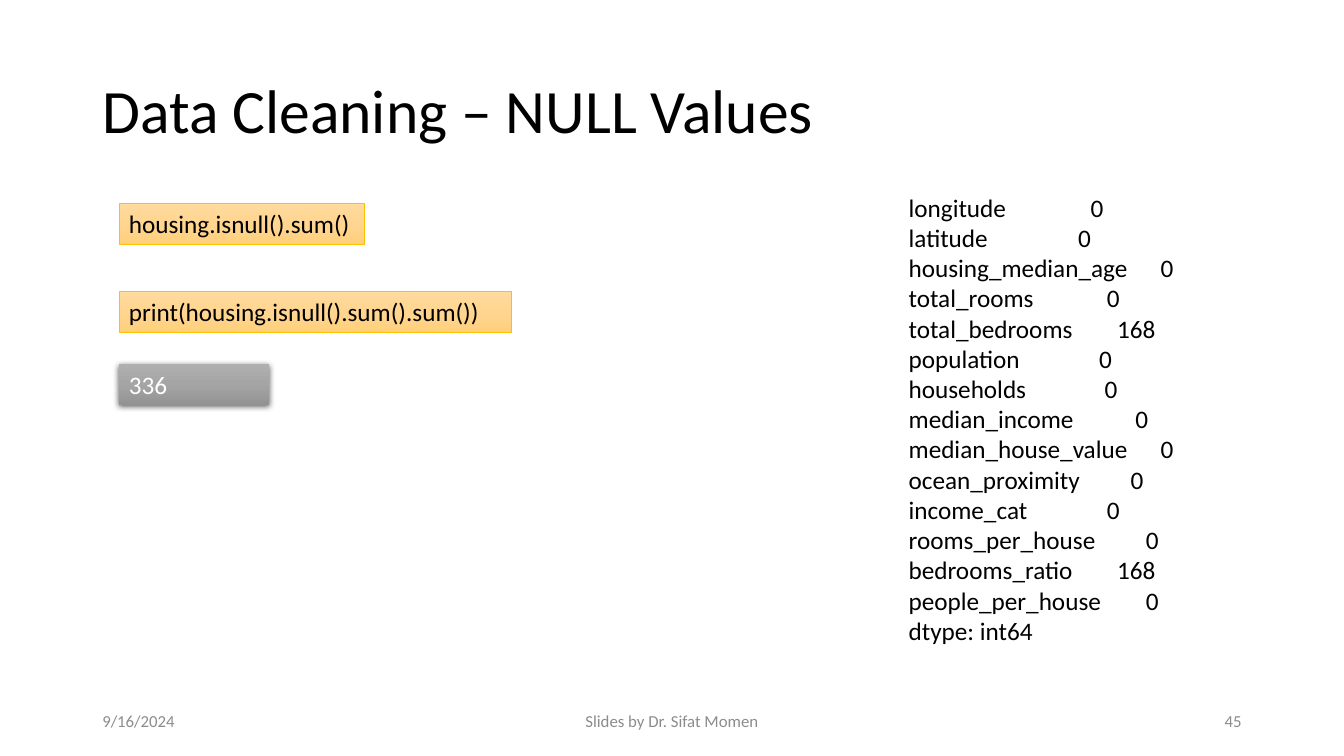
from lxml import etree
from pptx import Presentation
from pptx import util as u
from pptx.dml.color import RGBColor
from pptx.enum import shapes, text
from pptx.oxml import ns

LEFT, MID, RIGHT = (text.PP_ALIGN.LEFT, text.PP_ALIGN.CENTER,
                    text.PP_ALIGN.RIGHT)
TOP, CENTER = text.MSO_ANCHOR.TOP, text.MSO_ANCHOR.MIDDLE
AMBER = ("FFDB9E", "FFD590", "FFD07C")
GRAY = ("AFAFAF", "A5A5A5", "939393")

# Column name, null count, and where the count starts in points
COUNTS = [
    ("longitude", 0, 130), ("latitude", 0, 121),
    ("housing_median_age", 0, 180), ("total_rooms", 0, 141.5),
    ("total_bedrooms", 168, 149), ("population", 0, 136),
    ("households", 0, 140), ("median_income", 0, 162),
    ("median_house_value", 0, 180), ("ocean_proximity", 0, 158.5),
    ("income_cat", 0, 141.5), ("rooms_per_house", 0, 169.5),
    ("bedrooms_ratio", 168, 149), ("people_per_house", 0, 169.5),
]


def color(code):
    return RGBColor.from_string(code)


def add(parent, tag, **attrs):
    node = etree.SubElement(parent, ns.qn(tag))
    for key, val in attrs.items():
        node.set(key, str(val))
    return node


def style(par, size, ink, align=LEFT):
    par.alignment = align
    for key, val in {"name": "Calibri", "size": u.Pt(size)}.items():
        setattr(par.font, key, val)
    par.font.color.rgb = color(ink)


def place(shape, box):
    for key, val in zip(("left", "top", "width", "height"), box):
        setattr(shape, key, u.Pt(val))


def frame(shape, anchor=TOP):
    """Set the text frame's format and return its first paragraph."""
    form = {"word_wrap": True, "vertical_anchor": anchor,
            "auto_size": text.MSO_AUTO_SIZE.NONE}
    for key, val in form.items():
        setattr(shape.text_frame, key, val)
    return shape.text_frame.paragraphs[0]


def heading(slide, box, words):
    title = slide.shapes.title
    place(title, box)
    par = frame(title, CENTER)
    par.text = words
    par.line_spacing = 0.9
    style(par, 44, "000000")


def footer(slide, box, parts):
    """Lay date, credit and number at the left, middle and right of the box."""
    x, y, w, h = box
    spots = ((x, 216, LEFT), (x + (w - 324) / 2, 324, MID),
             (x + w - 216, 216, RIGHT))
    for words, (left, wide, align) in zip(parts, spots):
        note = slide.shapes.add_textbox(*map(u.Pt, (left, y, wide, h)))
        par = frame(note, CENTER)
        par.text = words
        style(par, 12, "8C8C8C", align)


def shade(shape, stops):
    """Fill the shape with an even gradient from top to bottom."""
    props = shape.element.spPr
    grad = etree.Element(ns.qn("a:gradFill"), rotWithShape="1")
    lst = add(grad, "a:gsLst")
    for i, code in enumerate(stops):
        stop = add(lst, "a:gs", pos=i * 100000 // (len(stops) - 1))
        add(stop, "a:srgbClr", val=code)
    add(grad, "a:lin", ang=5400000, scaled=0)
    props.find(ns.qn("a:prstGeom")).addnext(grad)


def shadow(shape):
    effects = shape.element.spPr.find(ns.qn("a:effectLst"))
    outer = add(effects, "a:outerShdw", blurRad=u.Pt(4.5), dist=u.Pt(1.5),
                dir=5400000, algn="ctr", rotWithShape=0)
    add(add(outer, "a:srgbClr", val="000000"), "a:alpha", val=63000)


def panel(slide, box, words, stops, ink, edge=None):
    """Add a code or result bar; one without an edge casts a shadow."""
    bar = slide.shapes.add_shape(shapes.MSO_SHAPE.RECTANGLE,
                                 *map(u.Pt, box))
    bar.shadow.inherit = False
    shade(bar, stops)
    if edge:
        bar.line.color.rgb = color(edge)
        bar.line.width = u.Pt(0.5)
    else:
        bar.line.fill.background()
        shadow(bar)
    par = frame(bar)
    par.text = words
    style(par, 18, ink)


def code(slide, box):
    x, y, w, h = box
    panel(slide, (x, y, 175, h), "housing.isnull().sum()", AMBER,
          "000000", "FFC000")
    panel(slide, (x, y + 62.8, w, h), "print(housing.isnull().sum().sum())",
          AMBER, "000000", "FFC000")
    panel(slide, (x, y + 114.6, 107.3, h), "336", GRAY, "FFFFFF")


def output(slide, box):
    area = slide.shapes.add_textbox(*map(u.Pt, box))
    par = frame(area)
    for name, count, start in COUNTS:
        par.text = f"{name}\t{count}"
        tabs = add(par._p.get_or_add_pPr(), "a:tabLst")
        add(tabs, "a:tab", pos=u.Pt(start), algn="l")
        style(par, 18, "000000")
        par = area.text_frame.add_paragraph()
    par.text = "dtype: int64"
    style(par, 18, "000000")


def main():
    deck = Presentation()
    deck.slide_width, deck.slide_height = u.Pt(960), u.Pt(540)
    slide = deck.slides.add_slide(deck.slide_layouts[5])
    heading(slide, (66, 28.75, 828, 104.4), "Data Cleaning – NULL Values")
    footer(slide, (66, 500.5, 828, 28.75),
           ("9/16/2024", "Slides by Dr. Sifat Momen", "45"))
    code(slide, (85, 145.3, 280, 29.1))
    output(slide, (642, 133.5, 257, 334))
    deck.save("out.pptx")


if __name__ == "__main__":
    main()
